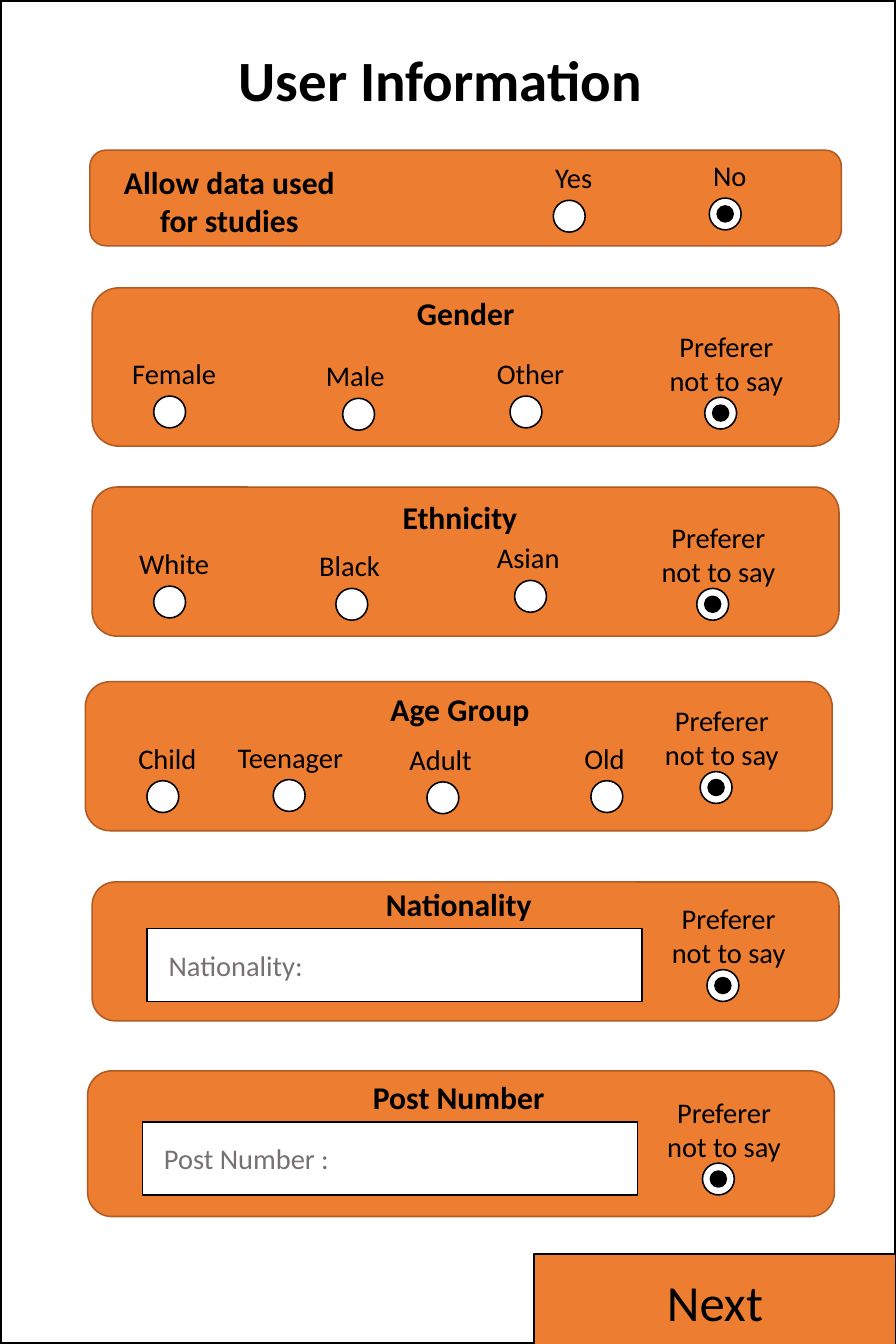
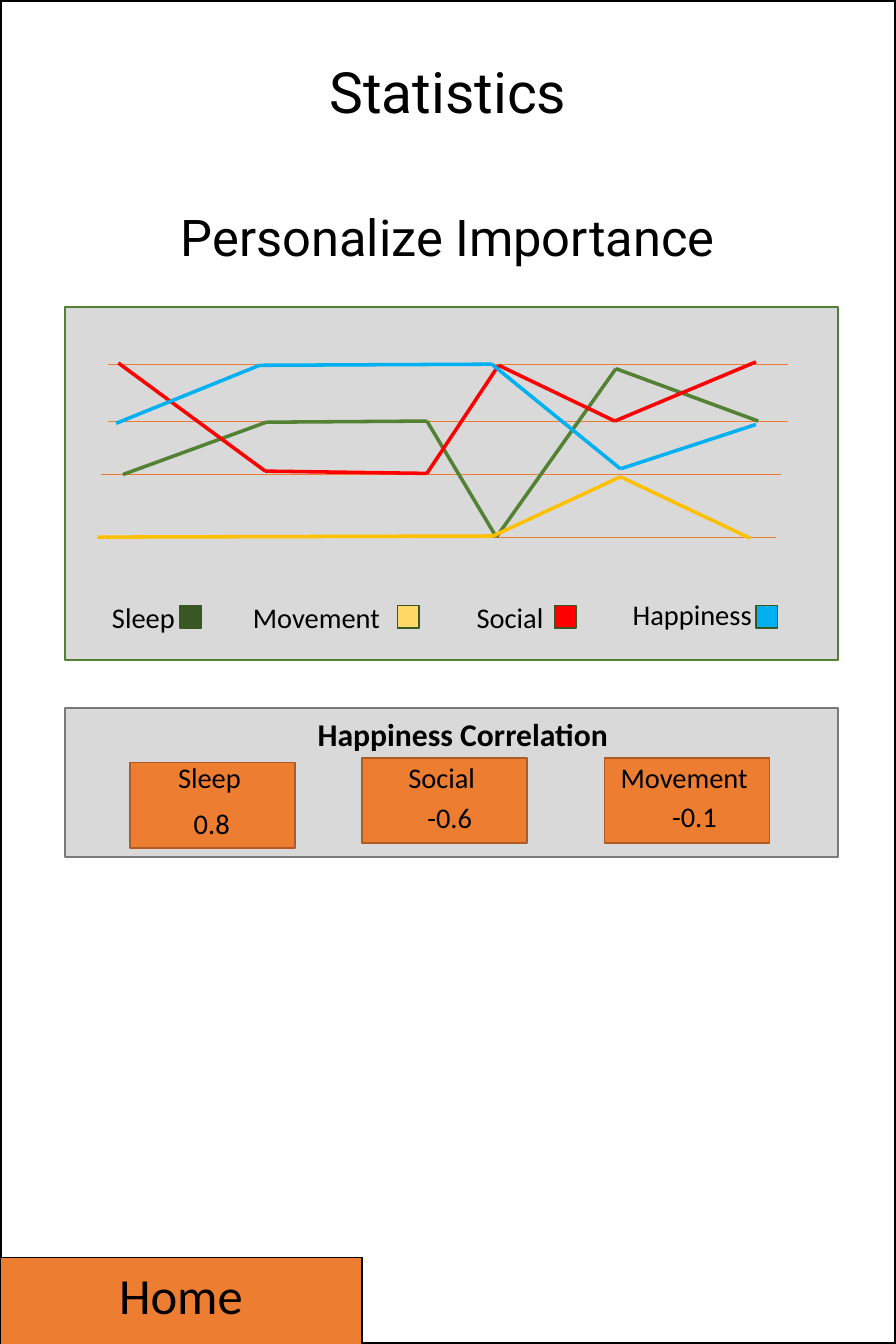
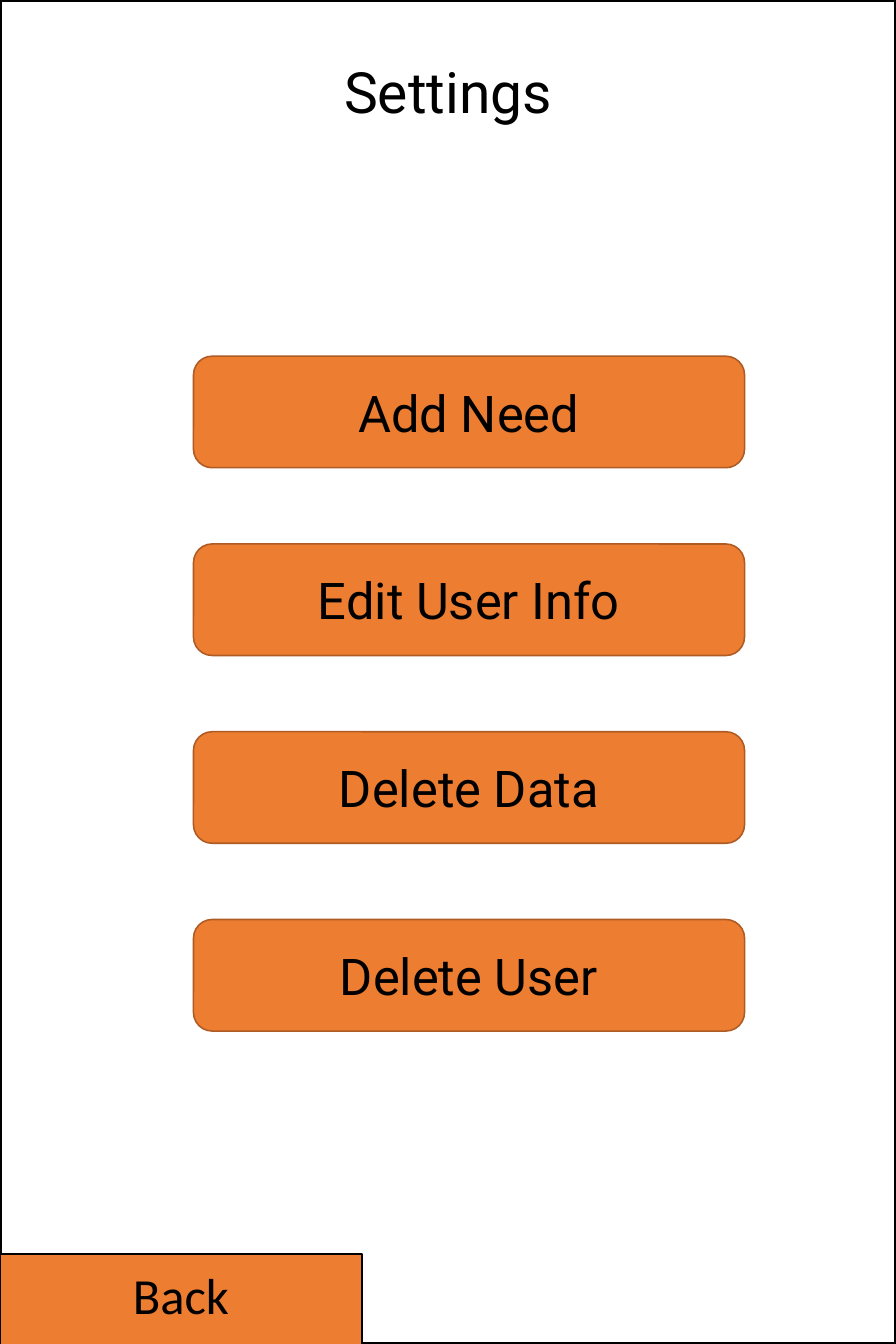
import pptx
import pptx.dml.color
import pptx.enum.shapes
import pptx.enum.text
import pptx.oxml.ns
import pptx.util
from lxml import etree

Inches = pptx.util.Inches
Kind = pptx.enum.shapes.MSO_SHAPE
Align = pptx.enum.text.PP_ALIGN
Anchor = pptx.enum.text.MSO_ANCHOR

WIDTH, HEIGHT = 7.87, 11.81
BLACK, WHITE, GREY, HINT = "000000", "FFFFFF", "D9D9D9", "767171"
ORANGE, RUST = "ED7D31", "AF5C24"
DARK_GREEN = "385723"
RADIO, DOT = 0.28, 0.14
DECLINE = "Preferer not to say"

PANELS = [
    (0.79, 1.32, 6.6, 0.84),
    (0.81, 2.53, 6.56, 1.39),
    (0.81, 4.28, 6.56, 1.31),
    (0.75, 5.99, 6.56, 1.31),
    (0.81, 7.75, 6.56, 1.22),
    (0.77, 9.41, 6.56, 1.28),
]
HEADINGS = [
    ("Gender", 4.09, 2.53),
    ("Ethnicity", 4.04, 4.33),
    ("Age Group", 4.04, 6.01),
    ("Nationality", 4.03, 7.73),
    ("Post Number ", 4.06, 9.42),
]
OPTIONS = [
    ("Yes", 5.04, 1.36, 5.0),
    ("Female", 1.53, 3.08, 1.49),
    ("Male", 3.12, 3.1, 3.15),
    ("Other", 4.66, 3.08, 4.62),
    ("White", 1.53, 4.75, 1.49),
    ("Black", 3.07, 4.77, 3.09),
    ("Asian", 4.64, 4.7, 4.66),
    ("Child", 1.47, 6.46, 1.43),
    ("Teenager", 2.55, 6.45, 2.54),
    ("Adult", 3.87, 6.47, 3.89),
    ("Old", 5.31, 6.46, 5.33),
]
DECLINES = [(6.38, 2.84), (6.31, 4.52), (6.34, 6.13), (6.4, 7.87), (6.36, 9.57)]
FIELDS = [("Nationality:", 1.29, 8.16), ("Post Number :", 1.25, 9.86)]

GRID_LINES = [(0.95, 3.2), (0.95, 3.7), (0.89, 4.17), (0.85, 4.72)]
SERIES = [
    ("548235", [(1.08, 4.17), (2.34, 3.71), (3.75, 3.7), (4.36, 4.72), (5.41, 3.24), (6.66, 3.7)]),
    ("FFC000", [(0.86, 4.72), (4.33, 4.71), (5.45, 4.19), (6.59, 4.73)]),
    ("FF0000", [(1.04, 3.19), (2.33, 4.14), (3.75, 4.16), (4.38, 3.21), (5.4, 3.7), (6.64, 3.18)]),
    ("00B0F0", [(1.02, 3.72), (2.28, 3.21), (4.32, 3.2), (5.45, 4.12), (6.64, 3.73)]),
]
LEGEND = [
    ("Sleep", 1.26, 5.22, DARK_GREEN, 1.58),
    ("Movement", 2.78, 5.22, "FFD966", 3.49),
    ("Social", 4.48, 5.22, "FF0000", 4.87),
    ("Happiness", 6.08, 5.2, "00B0F0", 6.64),
]
CARDS = [
    ("Sleep", "0.8", 1.14, 6.7, 1.86, 7.03),
    ("Social", "-0.6", 3.18, 6.66, 3.95, 6.98),
    ("Movement", "-0.1", 5.31, 6.66, 6.1, 6.97),
]
ACTIONS = ["Add Need", "Edit User Info", "Delete Data", "Delete User"]


def color(value):
    """Return the colour for a hex string."""
    return pptx.dml.color.RGBColor.from_string(value)


def place(*lengths):
    """Turn numbers into inch lengths."""
    return [Inches(length) for length in lengths]


def write(frame, text, size=18, font="Calibri", ink=BLACK, bold=False,
          align=Align.CENTER, anchor=Anchor.TOP, spacing=1.0):
    """Put one formatted paragraph into a text frame."""
    frame.word_wrap = True
    frame.auto_size = pptx.enum.text.MSO_AUTO_SIZE.NONE
    frame.vertical_anchor = anchor
    para = frame.paragraphs[0]
    para.alignment = align
    para.line_spacing = spacing
    span = para.add_run()
    span.text = text
    span.font.size = pptx.util.Pt(size)
    span.font.name = font
    span.font.bold = bold
    span.font.color.rgb = color(ink)


def add_text(page, text, left, top, width, height, **style):
    """Add a text box."""
    box = page.shapes.add_textbox(*place(left, top, width, height))
    write(box.text_frame, text, **style)


def add_label(page, text, center, top, width=1.4, height=0.4, **style):
    """Add a text box centred on a horizontal position."""
    add_text(page, text, center - width / 2, top, width, height, **style)


def add_box(page, kind, left, top, width, height, fill=None, line=BLACK, weight=1):
    """Add a flat preset shape."""
    shape = page.shapes.add_shape(kind, *place(left, top, width, height))
    shape.shadow.inherit = False
    if fill:
        shape.fill.solid()
        shape.fill.fore_color.rgb = color(fill)
    else:
        shape.fill.background()
    shape.line.color.rgb = color(line)
    shape.line.width = pptx.util.Pt(weight)
    return shape


def add_line(page, start, end, ink, weight):
    """Add a straight line without shadow."""
    line = page.shapes.add_connector(
        pptx.enum.shapes.MSO_CONNECTOR.STRAIGHT, *place(*start, *end))
    line.line.color.rgb = color(ink)
    line.line.width = pptx.util.Pt(weight)
    etree.SubElement(line._element.spPr, pptx.oxml.ns.qn("a:effectLst"))


def add_circle(page, center, middle, size, fill):
    """Add a circle around a point."""
    add_box(page, Kind.OVAL, center - size / 2, middle - size / 2, size, size, fill)


def add_radio(page, center, top, chosen=False):
    """Add a radio button, with a dot when chosen."""
    middle = top + RADIO / 2
    add_circle(page, center, middle, RADIO, WHITE)
    if chosen:
        add_circle(page, center, middle, DOT, BLACK)


def add_page(deck, title, left=0.54, top=0.51, width=6.79, height=0.66, **style):
    """Add a framed page with its title."""
    page = deck.slides.add_slide(deck.slide_layouts[5])
    box = page.shapes.title
    box.left, box.top, box.width, box.height = place(left, top, width, height)
    write(box.text_frame, title, size=36, anchor=Anchor.MIDDLE, **style)
    add_box(page, Kind.RECTANGLE, 0, 0, WIDTH, HEIGHT, weight=3)
    return page


def add_navigation(page, text, left=0, top=11.02, lift=0.0):
    """Add the button in a bottom corner, its text raised by lift."""
    button = add_box(page, Kind.RECTANGLE, left, top, 3.18, 0.82, ORANGE)
    button.text_frame.margin_bottom = Inches(0.05 + 2 * lift)
    write(button.text_frame, text, size=32, anchor=Anchor.MIDDLE)


def build_user_information(deck):
    """Build the form page."""
    page = add_page(deck, "User Information", 1.93, 0.34, 3.88, 0.71, bold=True)
    for panel in PANELS:
        add_box(page, Kind.ROUNDED_RECTANGLE, *panel, ORANGE, RUST)
    add_text(page, "Allow data used for studies", 0.85, 1.38, 2.33, 0.77, size=20, bold=True)
    for text, center, top in HEADINGS:
        add_label(page, text, center, top, 1.89, 0.44, size=20, bold=True)
    for text, center, top, radio_center in OPTIONS:
        add_label(page, text, center, top)
        add_radio(page, radio_center, top + 0.4)
    add_label(page, "No", 6.41, 1.34)
    add_radio(page, 6.37, 1.74, chosen=True)
    for center, top in DECLINES:
        add_label(page, DECLINE, center, top, 1.29, 0.71)
        add_radio(page, center - 0.05, top + 0.65, chosen=True)
    for hint, left, top in FIELDS:
        field = add_box(page, Kind.RECTANGLE, left, top, 4.35, 0.64, WHITE)
        field.text_frame.margin_left = Inches(0.19)
        write(field.text_frame, hint, ink=HINT, align=Align.LEFT, anchor=Anchor.MIDDLE)
    add_navigation(page, "Next", left=4.69)


def build_statistics(deck):
    """Build the page with the trend lines and the correlations."""
    page = add_page(deck, "Statistics", font="Roboto", spacing=0.9)
    add_text(page, "Personalize Importance", 0.54, 1.81, 6.79, 0.6, size=32,
             font="Roboto", anchor=Anchor.MIDDLE, spacing=0.9)
    add_box(page, Kind.RECTANGLE, 0.57, 2.7, 6.79, 3.1, GREY, "538035")
    for left, top in GRID_LINES:
        add_line(page, (left, top), (left + 5.97, top), ORANGE, 0.5)
    for ink, points in SERIES:
        for start, end in zip(points, points[1:]):
            add_line(page, start, end, ink, 2.25)
    for text, center, top, fill, left in LEGEND:
        add_label(page, text, center, top)
        add_box(page, Kind.RECTANGLE, left, 5.32, 0.19, 0.2, fill, DARK_GREEN)
    add_box(page, Kind.RECTANGLE, 0.57, 6.22, 6.79, 1.31, GREY, "7A7A7A")
    add_text(page, "Happiness Correlation", 2.49, 6.23, 3.15, 0.44, size=20, bold=True)
    for text, value, left, top, value_center, value_top in CARDS:
        add_box(page, Kind.RECTANGLE, left, top, 1.45, 0.75, ORANGE, RUST)
        add_label(page, text, left + 0.7, 6.63)
        add_label(page, value, value_center, value_top)
    add_navigation(page, "Home", top=11.05, lift=0.09)


def build_settings(deck):
    """Build the page with the action buttons."""
    page = add_page(deck, "Settings", font="Roboto", spacing=0.9)
    for index, text in enumerate(ACTIONS):
        button = add_box(page, Kind.ROUNDED_RECTANGLE, 1.7, 3.13 + 1.65 * index,
                         4.84, 0.98, ORANGE, RUST)
        write(button.text_frame, text, size=32, font="Roboto", anchor=Anchor.MIDDLE)
    add_navigation(page, "Back", lift=0.06)


def main():
    """Build and save the deck."""
    deck = pptx.Presentation()
    deck.slide_width, deck.slide_height = place(WIDTH, HEIGHT)
    build_user_information(deck)
    build_statistics(deck)
    build_settings(deck)
    deck.save("out.pptx")


if __name__ == "__main__":
    main()
